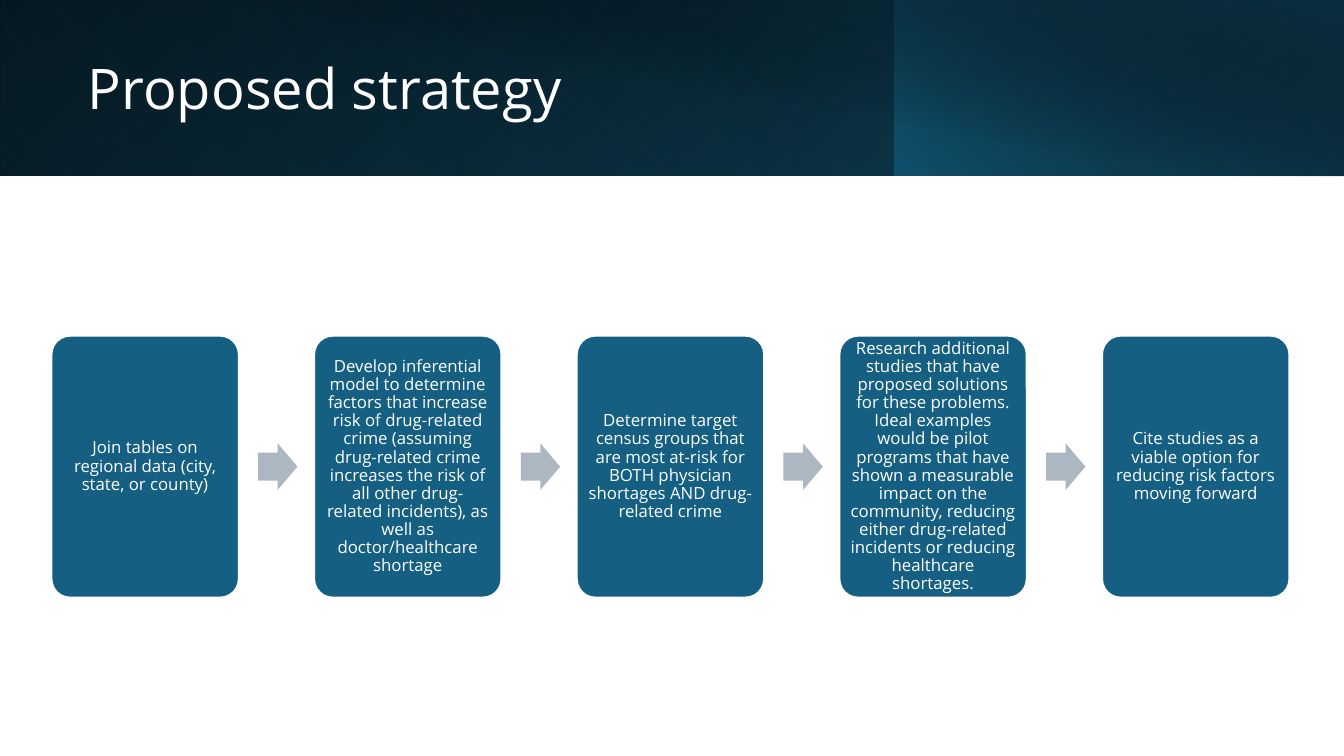
from dataclasses import dataclass

from lxml import etree
from pptx import Presentation
from pptx.dml.color import RGBColor
from pptx.enum.shapes import MSO_SHAPE
from pptx.enum.text import MSO_ANCHOR, MSO_AUTO_SIZE, PP_ALIGN
from pptx.oxml import parse_xml
from pptx.oxml.ns import nsdecls, qn
from pptx.util import Inches, Pt

RECTANGLE = MSO_SHAPE.RECTANGLE
ROUNDED = MSO_SHAPE.ROUNDED_RECTANGLE
ARROW = MSO_SHAPE.RIGHT_ARROW
MIDDLE = MSO_ANCHOR.MIDDLE
CENTER = PP_ALIGN.CENTER
LEFT = PP_ALIGN.LEFT
NO_AUTOFIT = MSO_AUTO_SIZE.NONE

FONT = "Open Sans"
WHITE = "FFFFFF"
BLUE = "156082"
GREY = "ACB7C1"

STEP_LEFT, STEP_TOP = 0.51, 3.33
STEP_WIDTH, STEP_HEIGHT = 1.86, 2.6
STEP_PITCH = 2.605
ARROW_OFFSET = 2.05
ARROW_WIDTH, ARROW_HEIGHT = 0.39, 0.46


@dataclass(frozen=True)
class Stop:
    position: int
    color: str
    opacity: int = 100


@dataclass(frozen=True)
class Band:
    left: float
    width: float
    height: float
    angle: int
    stops: tuple[Stop, ...]
    flipped: bool = True
    rotation: int = 0


BANDS = (
    Band(0, 13.33, 1.74, 140, (Stop(0, "000000"), Stop(100, "104862"))),
    Band(0, 8.88, 1.74, 230, (Stop(20, BLUE, 0), Stop(100, "0B3041", 55)),
         rotation=180),
    Band(8.87, 4.46, 1.74, 220, (Stop(0, BLUE, 66), Stop(100, "000000", 30))),
    Band(0.5, 12.83, 1.75, 280, (Stop(50, "000000", 0), Stop(99, "0B3041", 52)),
         flipped=False),
)

STEPS = (
    "Join tables on regional data (city, state, or county)",
    "Develop inferential model to determine factors that increase risk of "
    "drug-related crime (assuming drug-related crime increases the risk of all "
    "other drug-related incidents), as well as doctor/healthcare shortage",
    "Determine target census groups that are most at-risk for BOTH physician "
    "shortages AND drug-related crime",
    "Research additional studies that have proposed solutions for these problems. "
    "Ideal examples would be pilot programs that have shown a measurable impact on "
    "the community, reducing either drug-related incidents or reducing healthcare "
    "shortages.",
    "Cite studies as a viable option for reducing risk factors moving forward",
)


def rgb(color: str) -> RGBColor:
    return RGBColor.from_string(color)


def add_box(page, kind, left: float, top: float, width: float, height: float,
            color: str):
    """Add a flat filled shape without outline."""
    box = page.shapes.add_shape(kind, Inches(left), Inches(top),
                                Inches(width), Inches(height))
    box.shadow.inherit = False
    box.fill.solid()
    box.fill.fore_color.rgb = rgb(color)
    box.line.fill.background()
    return box


def set_text(box, text: str, size: int, align) -> None:
    frame = box.text_frame
    frame.text = text
    frame.word_wrap = True
    frame.auto_size = NO_AUTOFIT
    frame.vertical_anchor = MIDDLE
    para = frame.paragraphs[0]
    para.alignment = align
    para.line_spacing = 0.9
    para.font.name = FONT
    para.font.size = Pt(size)
    para.font.color.rgb = rgb(WHITE)


def add_band(page, band: Band) -> None:
    box = add_box(page, RECTANGLE, band.left, 0, band.width, band.height, BLUE)
    box.rotation = band.rotation
    properties = box.element.spPr
    if band.flipped:
        properties.find(qn("a:xfrm")).set("flipH", "1")
    # Gradient with transparent stops
    gradient = parse_xml(f'<a:gradFill {nsdecls("a")} rotWithShape="1"/>')
    stop_list = etree.SubElement(gradient, qn("a:gsLst"))
    for stop in band.stops:
        mark = etree.SubElement(stop_list, qn("a:gs"), pos=str(stop.position * 1000))
        color = etree.SubElement(mark, qn("a:srgbClr"), val=stop.color)
        etree.SubElement(color, qn("a:alpha"), val=str(stop.opacity * 1000))
    etree.SubElement(gradient, qn("a:lin"), ang=str(band.angle * 60000), scaled="0")
    properties.replace(properties.find(qn("a:solidFill")), gradient)


def add_step(page, left: float, text: str) -> None:
    box = add_box(page, ROUNDED, left, STEP_TOP, STEP_WIDTH, STEP_HEIGHT, BLUE)
    box.adjustments[0] = 0.1
    box.line.color.rgb = rgb(WHITE)
    box.line.width = Pt(1.5)
    frame = box.text_frame
    frame.margin_left = frame.margin_right = Inches(0.05)
    frame.margin_top = frame.margin_bottom = Inches(0.05)
    set_text(box, text, 12, CENTER)


def add_arrow(page, left: float) -> None:
    top = STEP_TOP + (STEP_HEIGHT - ARROW_HEIGHT) / 2
    arrow = add_box(page, ARROW, left, top, ARROW_WIDTH, ARROW_HEIGHT, GREY)
    arrow.adjustments[0] = 0.6
    arrow.adjustments[1] = 0.5


def main() -> None:
    deck = Presentation()
    deck.slide_width, deck.slide_height = Inches(13.33), Inches(7.5)
    page = deck.slides.add_slide(deck.slide_layouts[5])

    # Header
    for band in BANDS:
        add_band(page, band)

    # Title, brought in front of the header
    title = page.shapes.title
    title.left, title.top = Inches(0.77), Inches(0.27)
    title.width, title.height = Inches(7.72), Inches(1.27)
    set_text(title, "Proposed strategy", 40, LEFT)
    title.element.getparent().append(title.element)

    # Process steps with arrows between them
    for index, text in enumerate(STEPS):
        left = STEP_LEFT + index * STEP_PITCH
        add_step(page, left, text)
        if index < len(STEPS) - 1:
            add_arrow(page, left + ARROW_OFFSET)

    deck.save("out.pptx")


if __name__ == "__main__":
    main()
